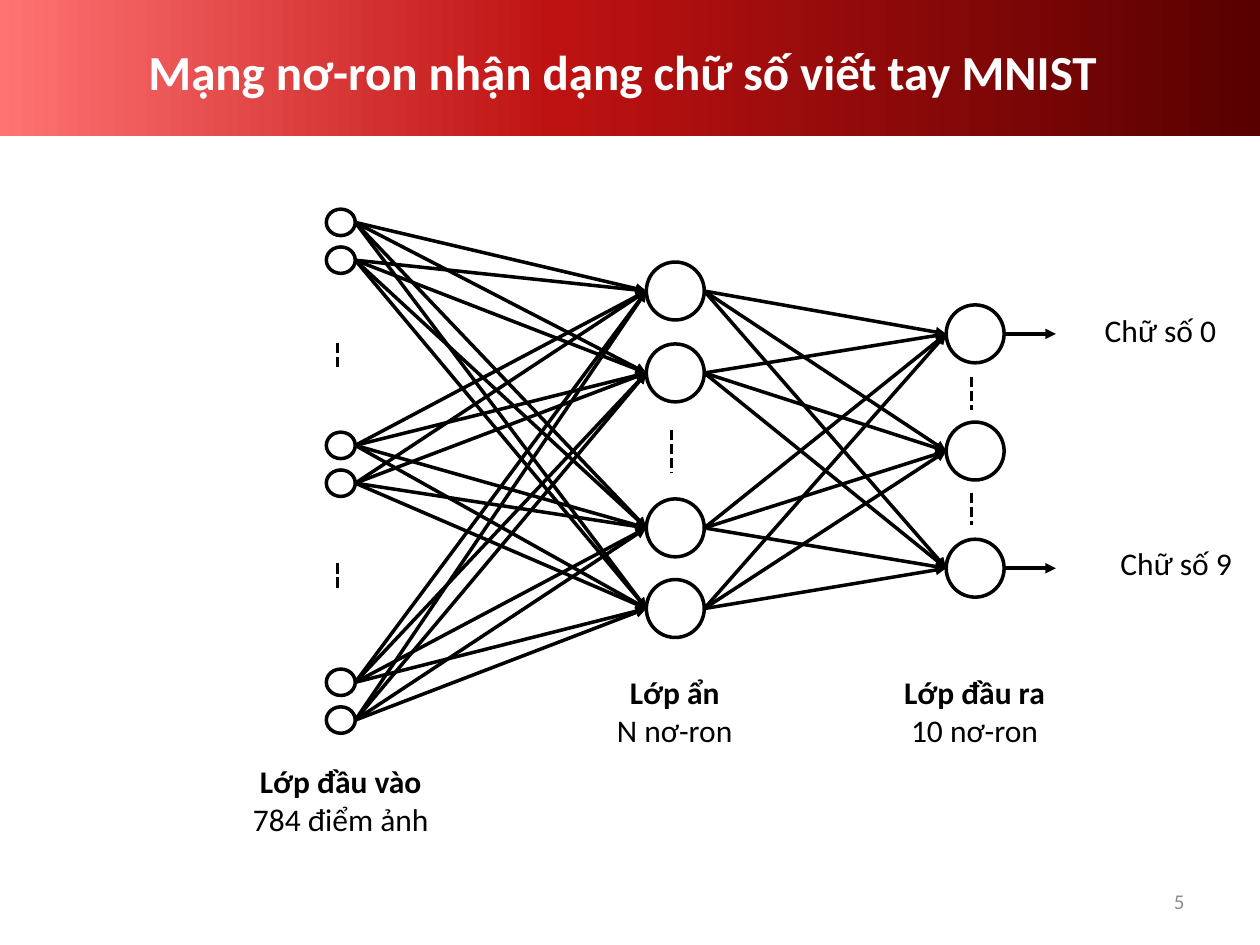
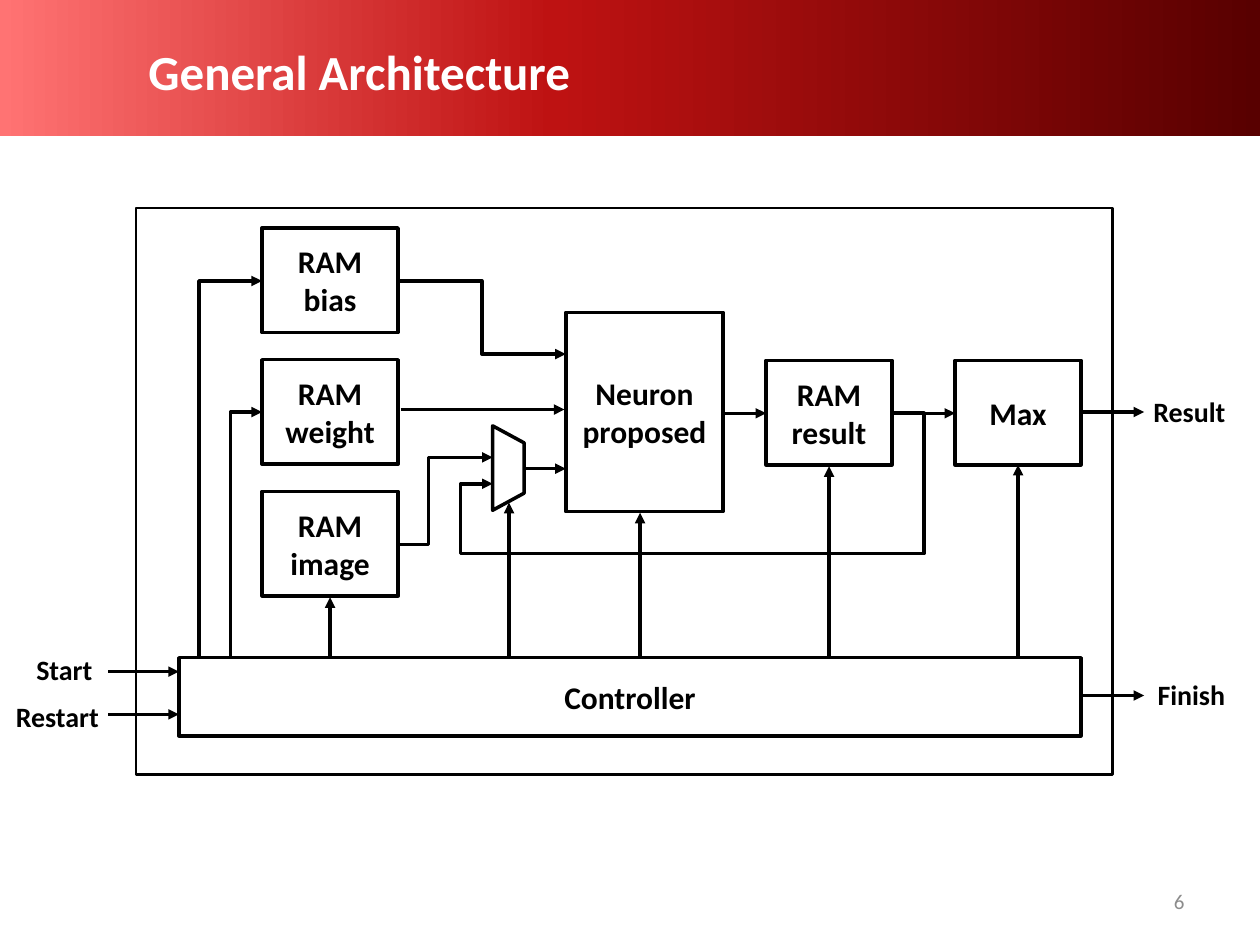
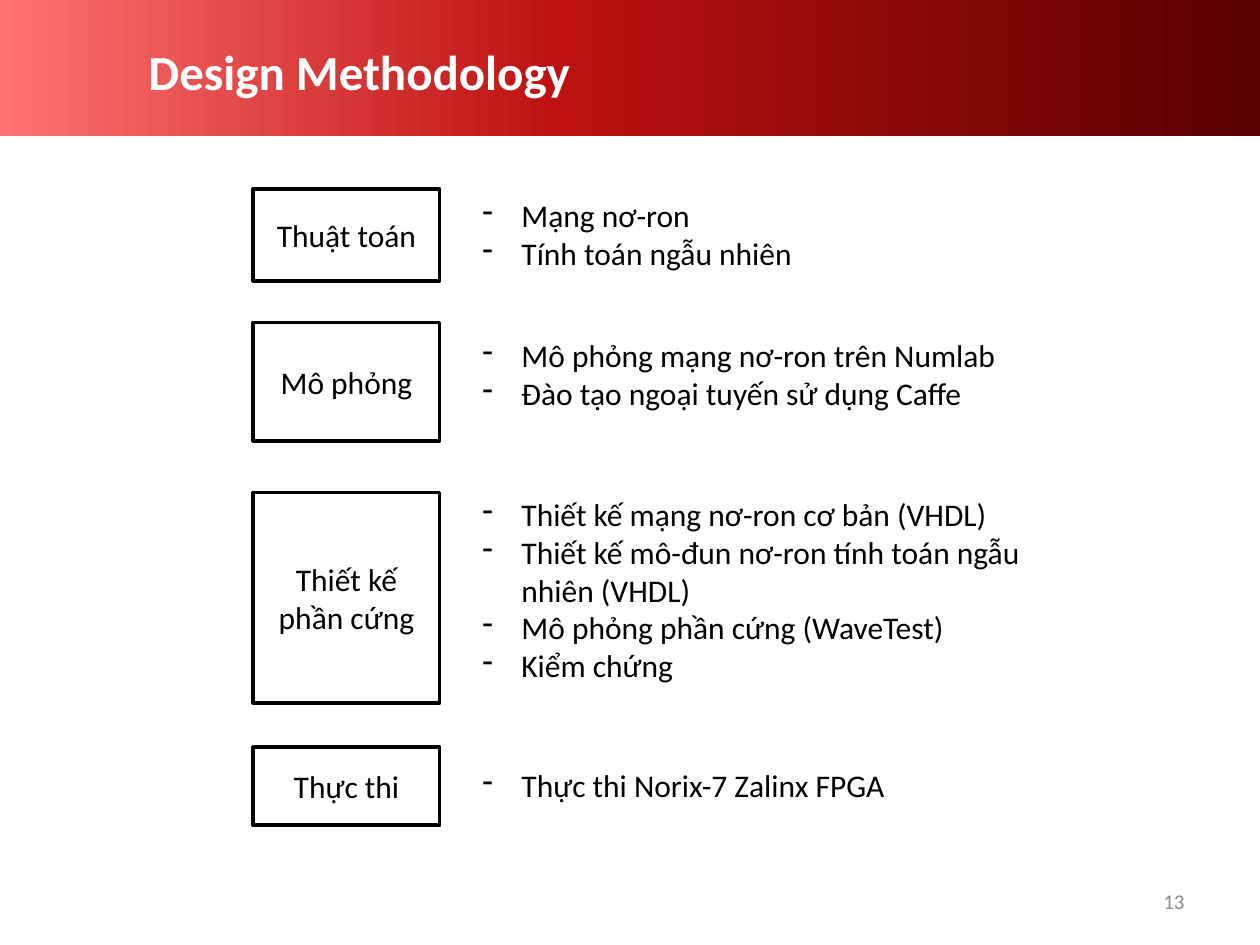
from copy import deepcopy
from itertools import product

from lxml.etree import SubElement
from pptx import Presentation
from pptx.dml.color import RGBColor
from pptx.enum.dml import MSO_LINE
from pptx.enum.shapes import MSO_CONNECTOR, MSO_SHAPE
from pptx.enum.text import MSO_ANCHOR, PP_ALIGN
from pptx.oxml.ns import qn
from pptx.util import Inches, Pt

COLORS = {"ink": "000000", "title": "FFFFFF", "page": "8C8C8C",
          "light": "FF7373", "red": "BE1212", "dark": "580000"}
FONT = "Calibri"


def color(name):
    return RGBColor.from_string(COLORS[name])


def inches(*values):
    return [Inches(value) for value in values]


# Text
def write(frame, lines, size=18, tint="ink", bold=False,
          align=PP_ALIGN.CENTER, dash=False):
    """Fill a frame; bold is one flag, or one flag for each line."""
    flags = bold if isinstance(bold, list) else [bold] * len(lines)
    for i, (line, flag) in enumerate(zip(lines, flags)):
        para = frame.paragraphs[0] if i == 0 else frame.add_paragraph()
        para.text = line
        para.alignment = align
        if dash:
            props = para._p.get_or_add_pPr()
            props.set("marL", str(Inches(0.31)))
            props.set("indent", str(-Inches(0.31)))
            SubElement(props, qn("a:buChar")).set("char", "-")
        font = para.font
        font.name, font.size, font.bold = FONT, Pt(size), flag
        font.color.rgb = color(tint)


def label(slide, at, lines, wrap=True, anchor=MSO_ANCHOR.TOP, **style):
    frame = slide.shapes.add_textbox(*inches(*at)).text_frame
    frame.word_wrap = wrap
    frame.vertical_anchor = anchor
    write(frame, lines, **style)


# Outlined shapes
def outline(slide, kind, at, width=2):
    shape = slide.shapes.add_shape(kind, *inches(*at))
    shape.shadow.inherit = False
    shape.fill.background()
    shape.line.color.rgb = color("ink")
    shape.line.width = Pt(width)
    return shape


def box(slide, at, lines, bold=False):
    frame = outline(slide, MSO_SHAPE.RECTANGLE, at).text_frame
    frame.word_wrap = True
    frame.vertical_anchor = MSO_ANCHOR.MIDDLE
    write(frame, lines, bold=bold)


# Lines
def link(slide, start, end, tip="tailEnd", kind=MSO_CONNECTOR.STRAIGHT):
    line = slide.shapes.add_connector(kind, *inches(*start, *end))
    line.line.color.rgb = color("ink")
    line.line.width = Pt(2)
    if tip:
        SubElement(line.line._get_or_add_ln(), qn("a:" + tip)).set("type", "triangle")
    SubElement(line._element.spPr, qn("a:effectLst"))
    return line


def elbow(slide, start, end, preset, bends=(), tip="tailEnd"):
    """Bent line; bends are shares of its width or height."""
    line = link(slide, start, end, tip, MSO_CONNECTOR.ELBOW)
    geom = line._element.spPr.find(qn("a:prstGeom"))
    geom.set("prst", preset)
    guides = geom.find(qn("a:avLst"))
    for i, bend in enumerate(bends, 1):
        guide = SubElement(guides, qn("a:gd"))
        guide.set("name", f"adj{i}")
        guide.set("fmla", f"val {round(bend * 100000)}")


def dots(slide, x, top, tall):
    line = link(slide, (x, top), (x, top + tall), tip=None)
    line.line.dash_style = MSO_LINE.SQUARE_DOT


# Shared frame of every slide
def band(slide):
    shape = slide.shapes.add_shape(MSO_SHAPE.RECTANGLE, *inches(0, 0, 10, 1.08))
    shape.shadow.inherit = False
    shape.line.fill.background()
    fill = shape.fill
    fill.gradient()
    fill.gradient_angle = 0
    stops = shape._element.spPr.find(".//" + qn("a:gsLst"))
    stops.append(deepcopy(stops[0]))
    tints = [(0, "light"), (0.44, "red"), (1, "dark")]
    for stop, (place, tint) in zip(fill.gradient_stops, tints):
        stop.position = place
        stop.color.rgb = color(tint)


def start(deck, title, page):
    slide = deck.slides.add_slide(deck.slide_layouts[6])
    band(slide)
    label(slide, (1.08, 0.17, 8.42, 0.78), [title], anchor=MSO_ANCHOR.MIDDLE,
          size=28, tint="title", bold=True, align=PP_ALIGN.LEFT)
    label(slide, (7.17, 6.95, 2.33, 0.4), [str(page)], anchor=MSO_ANCHOR.MIDDLE,
          size=12, tint="page", align=PP_ALIGN.RIGHT)
    return slide


# Slide: neural network
def layer(slide, left, tops, wide, tall):
    """Draw a column of nodes; return their left and right ports."""
    for top in tops:
        outline(slide, MSO_SHAPE.OVAL, (left, top, wide, tall))
    mids = [top + tall / 2 for top in tops]
    return [(left, y) for y in mids], [(left + wide, y) for y in mids]


def network(deck):
    slide = start(deck, "Mạng nơ-ron nhận dạng chữ số viết tay MNIST", 5)
    pairs = [top + step for top in (1.66, 3.43, 5.31) for step in (0, 0.3)]
    _, pixels = layer(slide, 2.59, pairs, 0.23, 0.21)
    inner, outer = layer(slide, 5.13, [2.08, 2.73, 3.96, 4.6], 0.46, 0.46)
    goals, ends = layer(slide, 7.51, [2.42 + 0.93 * i for i in range(3)], 0.46, 0.46)

    for a, b in [*product(pixels, inner), *product(outer, goals)]:
        link(slide, a, b)
    for x, y in (ends[0], ends[-1]):
        link(slide, (x, y), (8.38, y))
    for gap in [(2.68, 2.72, 0.21), (2.68, 4.47, 0.21), (5.33, 3.41, 0.34),
                (7.71, 2.99, 0.26), (7.71, 3.91, 0.26)]:
        dots(slide, *gap)

    for left, top, name, count in [(1.87, 6, "Lớp đầu vào", "784 điểm ảnh"),
                                   (4.52, 5.29, "Lớp ẩn", "N nơ-ron"),
                                   (6.9, 5.29, "Lớp đầu ra", "10 nơ-ron")]:
        label(slide, (left, top, 1.67, 0.71), [name, count], bold=[True, False])
    label(slide, (8.42, 2.42, 1.58, 0.4), ["Chữ số 0"])
    label(slide, (8.42, 4.27, 1.83, 0.4), ["Chữ số 9"])


# Slide: block diagram
def blocks(deck):
    slide = start(deck, "General Architecture", 6)
    outline(slide, MSO_SHAPE.RECTANGLE, (1.08, 1.65, 7.75, 4.5), 1.5)
    for i, name in enumerate(["bias", "weight", "image"]):
        box(slide, (2.08, 1.81 + 1.045 * i, 1.08, 0.83), ["RAM", name], True)
    box(slide, (4.49, 2.48, 1.25, 1.58), ["Neuron proposed"], True)
    box(slide, (6.08, 2.86, 1, 0.83), ["RAM", "result"], True)
    box(slide, (7.58, 2.86, 1, 0.83), ["Max"], True)
    box(slide, (1.42, 5.22, 7.16, 0.62), ["Controller"], True)
    switch = outline(slide, MSO_SHAPE.TRAPEZOID, (3.7, 3.59, 0.67, 0.25))
    switch.rotation = 90
    switch.adjustments[0] = 0.542

    # Data paths
    elbow(slide, (3.16, 2.23), (4.49, 2.81), "bentConnector3", [0.5])
    elbow(slide, (3.16, 4.32), (3.91, 3.63), "bentConnector3", [0.32])
    elbow(slide, (7.08, 3.28), (3.91, 3.84), "bentConnector5", [-0.08, 1.99, 1.08])
    for left, right, y in [(3.18, 4.48, 3.25), (4.17, 4.49, 3.72),
                           (5.74, 6.08, 3.28), (7.08, 7.58, 3.28),
                           (8.58, 9.08, 3.27), (8.58, 9.08, 5.52),
                           (0.86, 1.42, 5.33), (0.86, 1.42, 5.67)]:
        link(slide, (left, y), (right, y))

    # Control paths, rising from the controller
    for x, y in [(2.62, 4.74), (4.04, 3.99), (5.08, 4.07), (6.58, 3.7), (8.08, 3.69)]:
        link(slide, (x, 5.22), (x, y))
    for x, y in [(1.83, 3.27), (1.58, 2.23)]:
        elbow(slide, (2.08, y), (x, 5.22), "bentConnector2", tip="headEnd")

    # Outside signals
    for left, top, wide, name in [(0.17, 5.13, 0.68, "Start"), (0, 5.5, 0.91, "Restart"),
                                  (9.04, 3.08, 0.8, "Result"), (9.08, 5.33, 0.75, "Finish")]:
        label(slide, (left, top, wide, 0.37), [name], wrap=False, size=16, bold=True)


# Slide: design steps
def method(deck):
    slide = start(deck, "Design Methodology", 13)
    steps = [
        ("Thuật toán", 1.5, 0.73, 1.51, ["Mạng nơ-ron", "Tính toán ngẫu nhiên"]),
        ("Mô phỏng", 2.56, 0.94, 2.62, ["Mô phỏng mạng nơ-ron trên Numlab",
                                        "Đào tạo ngoại tuyến sử dụng Caffe"]),
        ("Thiết kế phần cứng", 3.91, 1.67, 3.88, [
            "Thiết kế mạng nơ-ron cơ bản (VHDL)",
            "Thiết kế mô-đun nơ-ron tính toán ngẫu nhiên (VHDL)",
            "Mô phỏng phần cứng (WaveTest)",
            "Kiểm chứng"]),
        ("Thực thi", 5.93, 0.62, 6.03, ["Thực thi Norix-7 Zalinx FPGA"]),
    ]
    for name, top, tall, head, items in steps:
        box(slide, (2.01, top, 1.48, tall), [name])
        label(slide, (3.73, head, 4.61, 0.1 + 0.3 * len(items)), items,
              align=PP_ALIGN.LEFT, dash=True)


def main():
    deck = Presentation()
    deck.slide_width, deck.slide_height = inches(10, 7.5)
    network(deck)
    blocks(deck)
    method(deck)
    deck.save("out.pptx")


main()
